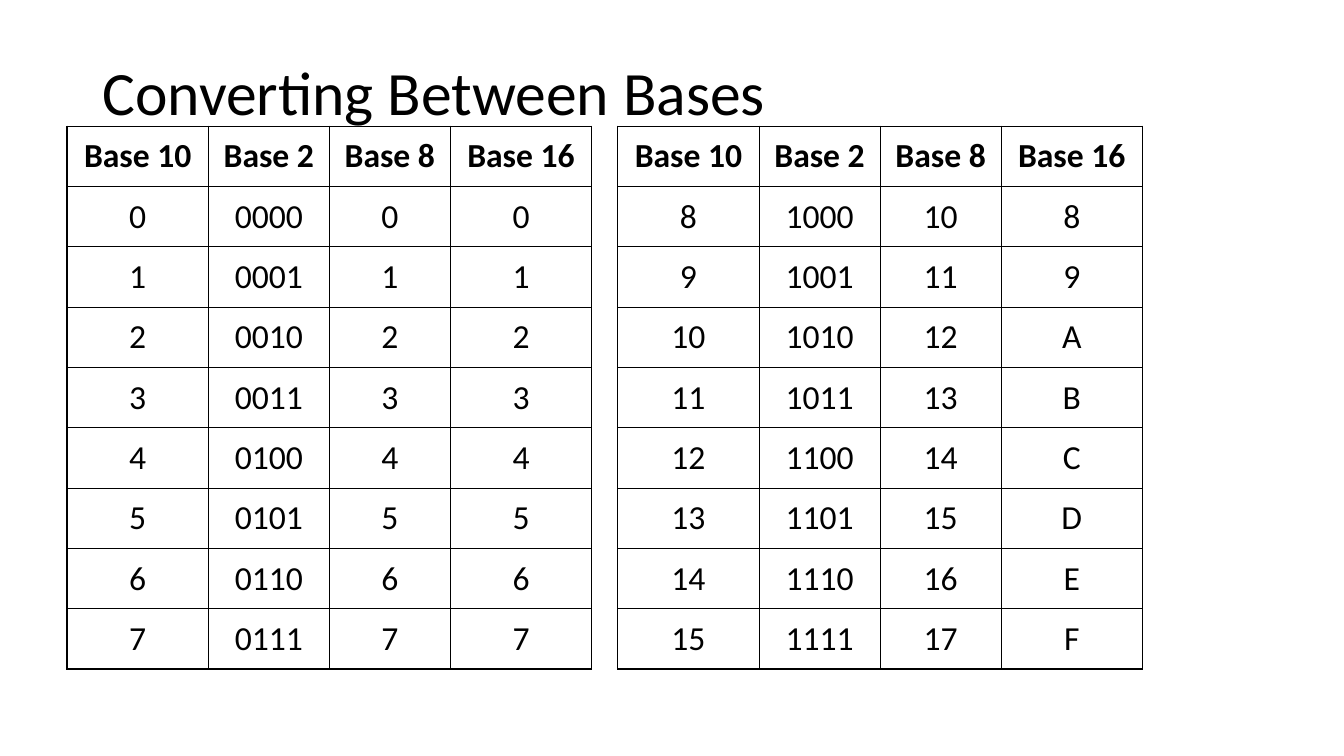
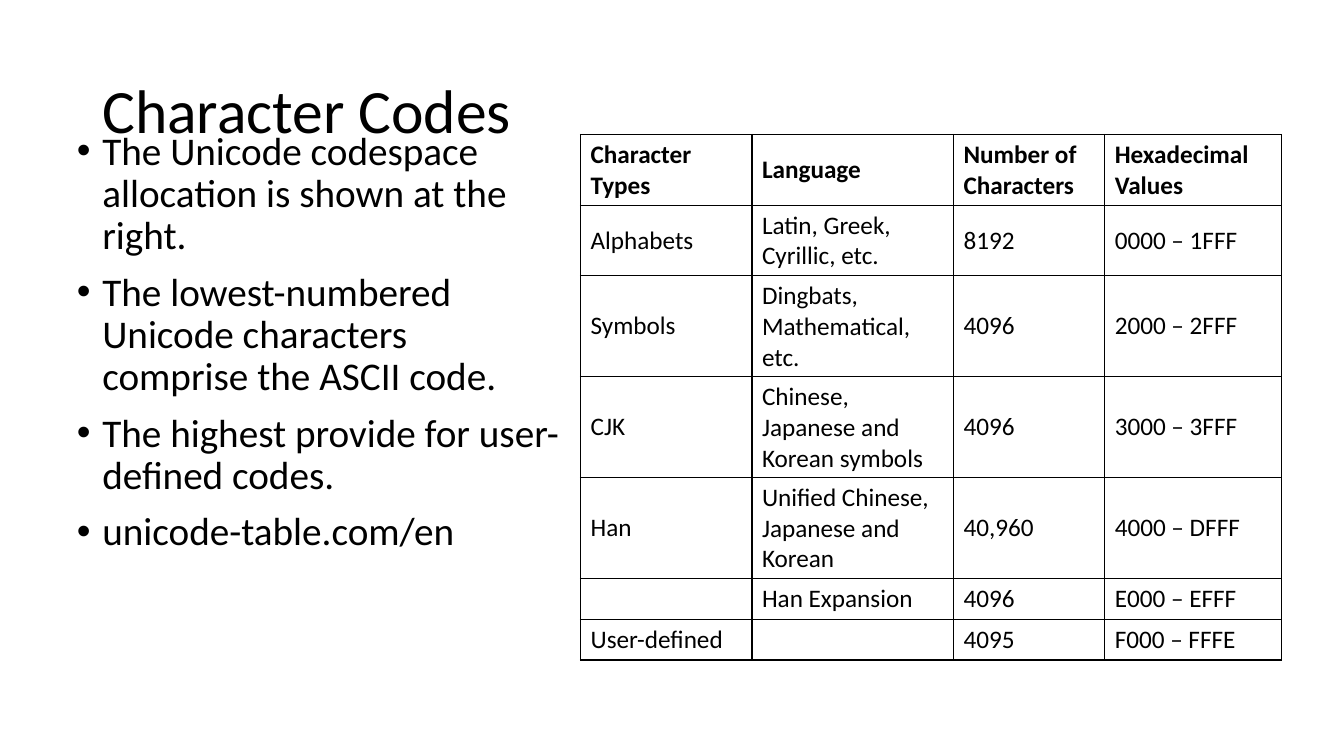
import pptx
import pptx.util
import pptx.dml.color
import pptx.enum.text
import pptx.oxml.ns
import lxml.etree

Cm = pptx.util.Cm
Pt = pptx.util.Pt
BLACK = pptx.dml.color.RGBColor(0x00, 0x00, 0x00)
ALIGN = pptx.enum.text.PP_ALIGN
MIDDLE = pptx.enum.text.MSO_ANCHOR.MIDDLE
TOP = pptx.enum.text.MSO_ANCHOR.TOP


def add_xml(parent, tag, **attrs):
    return lxml.etree.SubElement(parent, pptx.oxml.ns.qn(tag), **attrs)


class Deck:
    FONT = "Calibri"
    TITLE_SIZE = 44
    BODY_SIZE = 28
    LINE_SPACING = 0.9
    INDENT = Cm(0.64)
    BORDER = Pt(1)

    def __init__(self):
        self.prs = pptx.Presentation()
        self.prs.slide_width = Cm(33.87)
        self.prs.slide_height = Cm(19.05)
        self.s = None

    def slide(self, title, top):
        self.s = self.prs.slides.add_slide(self.prs.slide_layouts[6])
        tf = self.text_box(2.33, top, 29.21, 3.68, MIDDLE)
        p = tf.paragraphs[0]
        p.line_spacing = self.LINE_SPACING
        self.run(p, title, self.TITLE_SIZE)

    def text_box(self, left, top, width, height, anchor):
        sp = self.s.shapes.add_textbox(Cm(left), Cm(top), Cm(width), Cm(height))
        tf = sp.text_frame
        tf.word_wrap = True
        tf.vertical_anchor = anchor
        return tf

    def run(self, p, text, size, bold=False):
        r = p.add_run()
        r.text = text
        r.font.name = self.FONT
        r.font.size = Pt(size)
        r.font.bold = bold
        r.font.color.rgb = BLACK

    def bullets(self, left, top, width, height, items):
        tf = self.text_box(left, top, width, height, TOP)
        for i, item in enumerate(items):
            p = tf.add_paragraph() if i else tf.paragraphs[0]
            p.line_spacing = self.LINE_SPACING
            if i:
                p.space_before = Pt(10)
            pPr = p._p.get_or_add_pPr()
            pPr.set("marL", str(self.INDENT))
            pPr.set("indent", str(-self.INDENT))
            add_xml(pPr, "a:buFont", typeface="Arial")
            add_xml(pPr, "a:buChar", char="•")
            self.run(p, item, self.BODY_SIZE)

    def table(self, left, top, widths, row_height, rows, size,
              align=ALIGN.LEFT, margin=None):
        frame = self.s.shapes.add_table(
            len(rows), len(widths), Cm(left), Cm(top),
            Cm(sum(widths)), Cm(row_height * len(rows)))
        table = frame.table
        table.first_row = False
        table.horz_banding = False
        for column, width in zip(table.columns, widths):
            column.width = Cm(width)
        for i, row in enumerate(rows):
            table.rows[i].height = Cm(row_height)
            for j, text in enumerate(row):
                cell = table.cell(i, j)
                self.style_cell(cell, margin)
                p = cell.text_frame.paragraphs[0]
                p.alignment = align
                if text:
                    self.run(p, text, size, bold=i == 0)

    def style_cell(self, cell, margin):
        cell.vertical_anchor = MIDDLE
        if margin is not None:
            cell.margin_left = cell.margin_right = Cm(margin)
            cell.margin_top = cell.margin_bottom = Cm(margin)
        tcPr = cell._tc.get_or_add_tcPr()
        for side in ("a:lnL", "a:lnR", "a:lnT", "a:lnB"):
            ln = add_xml(tcPr, side, w=str(self.BORDER))
            fill = add_xml(ln, "a:solidFill")
            add_xml(fill, "a:srgbClr", val=str(BLACK))
        cell.fill.background()


def bases_slide(deck):
    deck.slide("Converting Between Bases", 0.56)
    header = ("Base 10", "Base 2", "Base 8", "Base 16")
    for left, first in ((1.69, 0), (15.57, 8)):
        rows = [header] + [
            (str(n), f"{n:04b}", f"{n:o}", f"{n:X}")
            for n in range(first, first + 8)]
        deck.table(left, 3.18, (3.56, 3.05, 3.05, 3.56), 1.52, rows, 24,
                   ALIGN.CENTER, 0.16)


def codes_slide(deck):
    deck.slide("Character Codes", 1.02)
    deck.bullets(1.69, 3.18, 12.7, 14.6, (
        "The Unicode codespace allocation is shown at the right.",
        "The lowest-numbered Unicode characters comprise the ASCII code.",
        "The highest provide for user-defined codes.",
        "unicode-table.com/en"))
    deck.table(14.63, 3.39, (4.32, 5.08, 3.81, 4.45), 1.03, (
        ("Character Types", "Language", "Number of Characters",
         "Hexadecimal Values"),
        ("Alphabets", "Latin, Greek, Cyrillic, etc.", "8192", "0000 – 1FFF"),
        ("Symbols", "Dingbats, Mathematical, etc.", "4096", "2000 – 2FFF"),
        ("CJK", "Chinese, Japanese and Korean symbols", "4096",
         "3000 – 3FFF"),
        ("Han", "Unified Chinese, Japanese and Korean", "40,960",
         "4000 – DFFF"),
        ("", "Han Expansion", "4096", "E000 – EFFF"),
        ("User-defined", "", "4095", "F000 – FFFE")), 18)


def main():
    deck = Deck()
    bases_slide(deck)
    codes_slide(deck)
    deck.prs.save("out.pptx")


if __name__ == "__main__":
    main()
